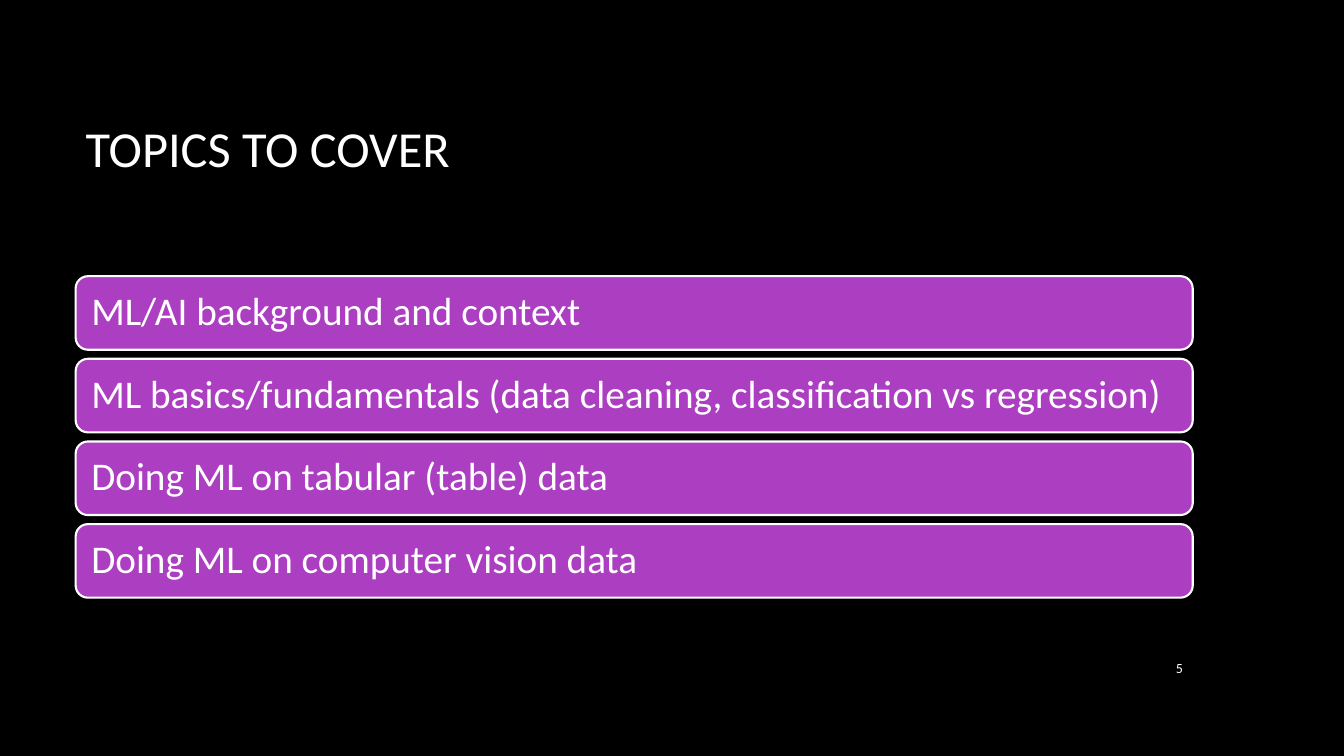
from pptx import Presentation
from pptx.dml.color import RGBColor
from pptx.enum.shapes import MSO_SHAPE as Shape
from pptx.enum.text import MSO_ANCHOR as Anchor, PP_ALIGN as Align
from pptx.util import Inches, Pt

COLORS = {"background": "000000", "bar": "AC3EC1", "text": "FFFFFF"}
FONT = "Calibri"
LEFT, WIDTH = 0.75, 11.08
BAR_TOP, BAR_HEIGHT, BAR_STEP = 2.74, 0.73, 0.82
BAR_INSET = 0.12
TOPICS = [
    "ML/AI background and context",
    "ML basics/fundamentals (data cleaning, classification vs regression)",
    "Doing ML on tabular (table) data",
    "Doing ML on computer vision data",
]


def color(name):
    return RGBColor.from_string(COLORS[name])


def write(shape, text, size, align=Align.LEFT):
    frame = shape.text_frame
    frame.word_wrap = True
    frame.vertical_anchor = Anchor.MIDDLE
    para = frame.paragraphs[0]
    para.alignment = align
    span = para.add_run()
    span.text = text
    span.font.name = FONT
    span.font.size = Pt(size)
    span.font.color.rgb = color("text")
    return frame


def add_text(page, area, text, size, align=Align.LEFT):
    box = page.shapes.add_textbox(*map(Inches, area))
    write(box, text, size, align)


def add_topic_bar(page, top, text):
    area = (LEFT, top, WIDTH, BAR_HEIGHT)
    bar = page.shapes.add_shape(Shape.ROUNDED_RECTANGLE, *map(Inches, area))
    bar.shadow.inherit = False
    bar.fill.solid()
    bar.fill.fore_color.rgb = color("bar")
    bar.line.color.rgb = color("text")
    bar.line.width = Pt(1.5)
    frame = write(bar, text, 28)
    frame.margin_left = frame.margin_right = Inches(BAR_INSET)
    frame.margin_top = frame.margin_bottom = Inches(BAR_INSET)
    frame.paragraphs[0].line_spacing = 0.9


def main():
    deck = Presentation()
    deck.slide_width, deck.slide_height = Inches(13.33), Inches(7.5)
    page = deck.slides.add_slide(deck.slide_layouts[6])
    page.background.fill.solid()
    page.background.fill.fore_color.rgb = color("background")

    add_text(page, (LEFT, 0.67, WIDTH, 1.59), "TOPICS TO COVER", 36)
    for index, topic in enumerate(TOPICS):
        add_topic_bar(page, BAR_TOP + index * BAR_STEP, topic)
    add_text(page, (11.23, 6.42, 0.6, 0.41), "5", 10, Align.RIGHT)

    deck.save("out.pptx")


if __name__ == "__main__":
    main()
